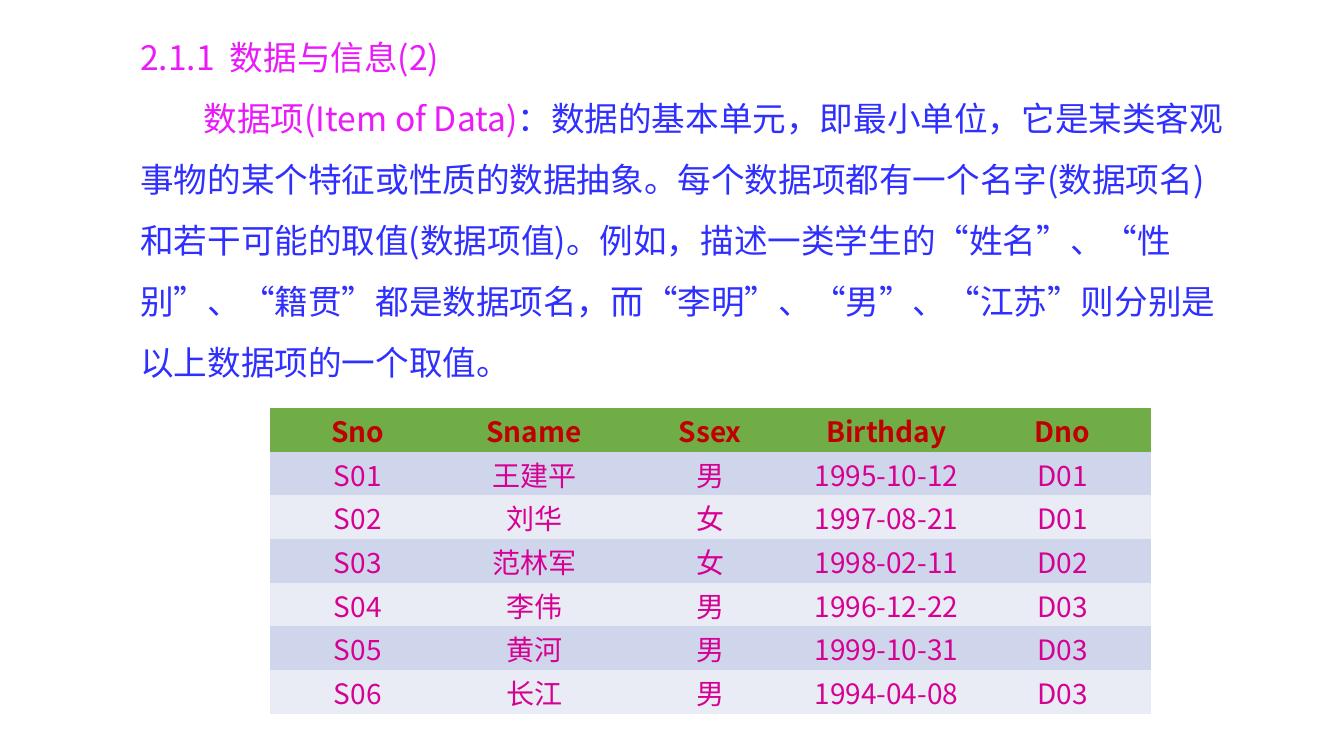
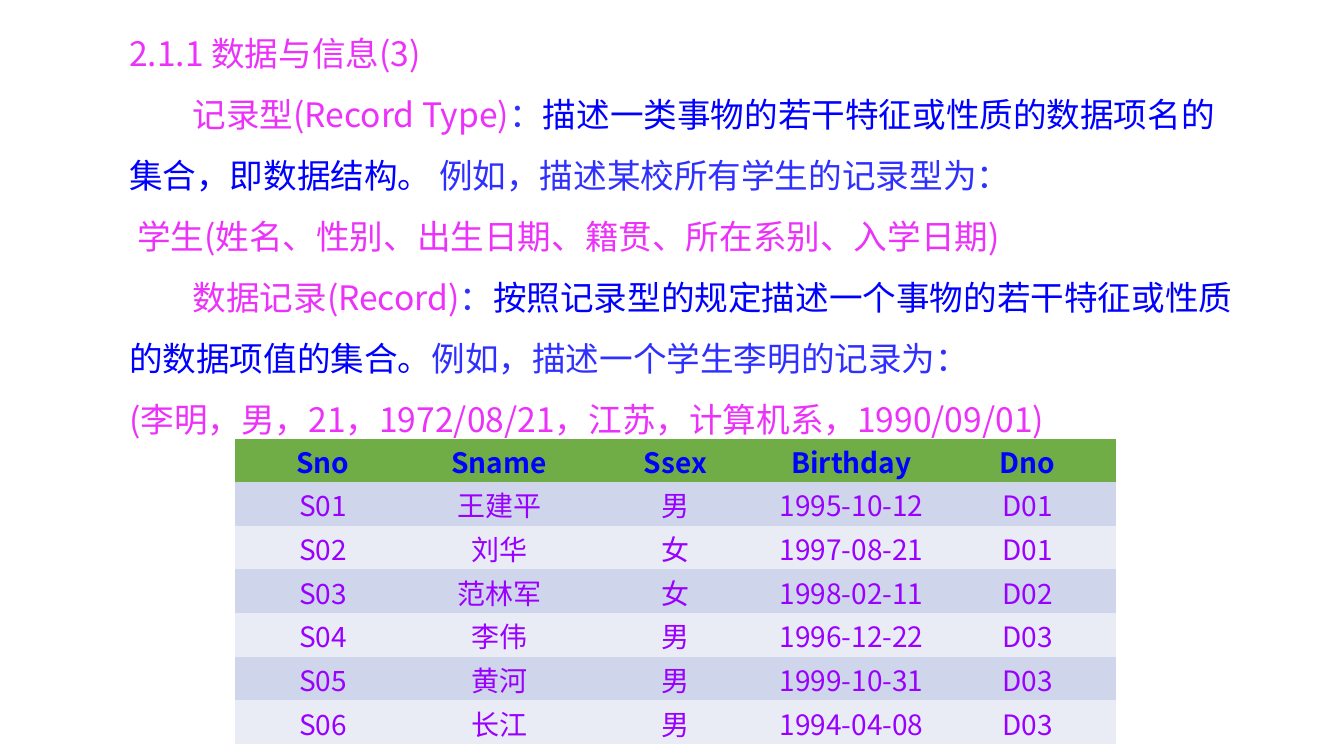
"""Build two lecture slides on data items and records, each with a student table."""
from dataclasses import dataclass

import lxml.etree
import pptx
import pptx.dml.color
import pptx.enum.text
import pptx.oxml.ns
import pptx.util

Cm, Pt = pptx.util.Cm, pptx.util.Pt
qn = pptx.oxml.ns.qn


@dataclass(frozen=True)
class Theme:
    font: str = "Noto Sans CJK SC"
    text_size: int = 24
    table_size: int = 20
    text_leading: float = 43.6
    table_leading: float = 24
    blue: str = "2F2FFF"
    deep_blue: str = "0000FF"
    header_fill: str = "70AD47"
    row_fills: tuple = ("CFD5EA", "E9EBF5")
    plain_table: str = "{2D5ABB26-0587-4C30-8999-92F81FD0307C}"


theme = Theme()


def write_runs(paragraph, runs, size, leading, align, bold=False):
    layout = {"line_spacing": Pt(leading), "space_before": Pt(0), "alignment": align}
    for key, value in layout.items():
        setattr(paragraph, key, value)
    for text, color in runs:
        run = paragraph.add_run()
        run.text = text
        face = {"name": theme.font, "size": Pt(size), "bold": bold}
        for key, value in face.items():
            setattr(run.font, key, value)
        run.font.color.rgb = pptx.dml.color.RGBColor.from_string(color)
        east_asian = lxml.etree.SubElement(run.font._element, qn("a:ea"))
        east_asian.set("typeface", theme.font)


def place_text(holder, left, top, width, height):
    box = {"left": Cm(left), "top": Cm(top), "width": Cm(width), "height": Cm(height)}
    for key, value in box.items():
        setattr(holder, key, value)
    frame = holder.text_frame
    frame_format = {
        "word_wrap": True,
        "auto_size": pptx.enum.text.MSO_AUTO_SIZE.NONE,
        "vertical_anchor": pptx.enum.text.MSO_ANCHOR.TOP,
        "margin_top": Cm(0),
        "margin_bottom": Cm(0),
    }
    for key, value in frame_format.items():
        setattr(frame, key, value)
    return frame


students = [
    ("Sno", "Sname", "Ssex", "Birthday", "Dno"),
    ("S01", "王建平", "男", "1995-10-12", "D01"),
    ("S02", "刘华", "女", "1997-08-21", "D01"),
    ("S03", "范林军", "女", "1998-02-11", "D02"),
    ("S04", "李伟", "男", "1996-12-22", "D03"),
    ("S05", "黄河", "男", "1999-10-31", "D03"),
    ("S06", "长江", "男", "1994-04-08", "D03"),
]

first_line, example_line, flush_line = 1.6, 0.2, 0
violet, pink = "E91BF9", "EC32FA"
lessons = [
    {
        "heading": "2.1.1  数据与信息(2)",
        "heading_color": violet,
        "text_at": (3.28, 0.41, 28.12),
        "body": [
            (first_line, [
                ("数据项(Item of Data)", violet),
                ("：数据的基本单元，即最小单位，它是某类客观事物的某个特征或性质的数据抽象。"
                 "每个数据项都有一个名字(数据项名)和若干可能的取值(数据项值)。"
                 "例如，描述一类学生的“姓名”、“性别”、“籍贯”都是数据项名，"
                 "而“李明”、“男”、“江苏”则分别是以上数据项的一个取值。", theme.blue),
            ]),
        ],
        "table_at": (6.8, 10.28),
        "header_color": "C00000",
        "cell_color": "D60093",
    },
    {
        "heading": "2.1.1 数据与信息(3)",
        "heading_color": pink,
        "text_at": (3, 0.3, 28.42),
        "body": [
            (first_line, [
                ("记录型(Record Type)", pink),
                ("：", theme.blue),
                ("描述一类事物的若干特征或性质的数据项名的集合，即数据结构。 ", theme.deep_blue),
                ("例如，描述某校所有学生的记录型为：", theme.blue),
            ]),
            (example_line, [
                ("学生(姓名、性别、出生日期、籍贯、所在系别、入学日期)", pink),
            ]),
            (first_line, [
                ("数据记录(Record)", pink),
                ("：", theme.blue),
                ("按照记录型的规定描述一个事物的若干特征或性质的数据项值的集合。", theme.deep_blue),
                ("例如，描述一个学生李明的记录为：", theme.blue),
            ]),
            (flush_line, [
                ("(李明，男，21，1972/08/21，江苏，计算机系，1990/09/01)", pink),
            ]),
        ],
        "table_at": (5.92, 11.05),
        "header_color": theme.deep_blue,
        "cell_color": "9900FF",
    },
]

align_left = pptx.enum.text.PP_ALIGN.LEFT
align_center = pptx.enum.text.PP_ALIGN.CENTER
line_height, column_width, row_height = 1.54, 4.44, 1.1

deck = pptx.Presentation()
deck.slide_width, deck.slide_height = Cm(33.87), Cm(19.05)

for lesson in lessons:
    slide = deck.slides.add_slide(deck.slide_layouts[1])
    heading, body = slide.placeholders
    left, top, width = lesson["text_at"]

    heading_frame = place_text(heading, left, top, width, line_height)
    write_runs(heading_frame.paragraphs[0], [(lesson["heading"], lesson["heading_color"])],
               theme.text_size, theme.text_leading, align_left)

    body_frame = place_text(body, left, top + line_height, width, 6 * line_height)
    for index, (indent, runs) in enumerate(lesson["body"]):
        paragraph = body_frame.add_paragraph() if index else body_frame.paragraphs[0]
        write_runs(paragraph, runs, theme.text_size, theme.text_leading, align_left)
        properties = paragraph._p.get_or_add_pPr()
        properties.set("marL", "0")
        properties.set("indent", str(Cm(indent)))
        lxml.etree.SubElement(properties, qn("a:buNone"))

    rows, columns = len(students), len(students[0])
    table_left, table_top = lesson["table_at"]
    table = slide.shapes.add_table(
        rows, columns, Cm(table_left), Cm(table_top),
        Cm(columns * column_width), Cm(rows * row_height)).table
    table._tbl.tblPr.find(qn("a:tableStyleId")).text = theme.plain_table
    for column in table.columns:
        column.width = Cm(column_width)
    for row_index, student in enumerate(students):
        table.rows[row_index].height = Cm(row_height)
        is_header = row_index == 0
        fill = theme.header_fill if is_header else theme.row_fills[(row_index - 1) % 2]
        color = lesson["header_color"] if is_header else lesson["cell_color"]
        for column_index, value in enumerate(student):
            cell = table.cell(row_index, column_index)
            cell.fill.solid()
            cell.fill.fore_color.rgb = pptx.dml.color.RGBColor.from_string(fill)
            cell.vertical_anchor = pptx.enum.text.MSO_ANCHOR.MIDDLE
            cell.margin_top, cell.margin_bottom = Cm(0.2), Cm(0)
            write_runs(cell.text_frame.paragraphs[0], [(value, color)],
                       theme.table_size, theme.table_leading, align_center, is_header)

deck.save("out.pptx")
